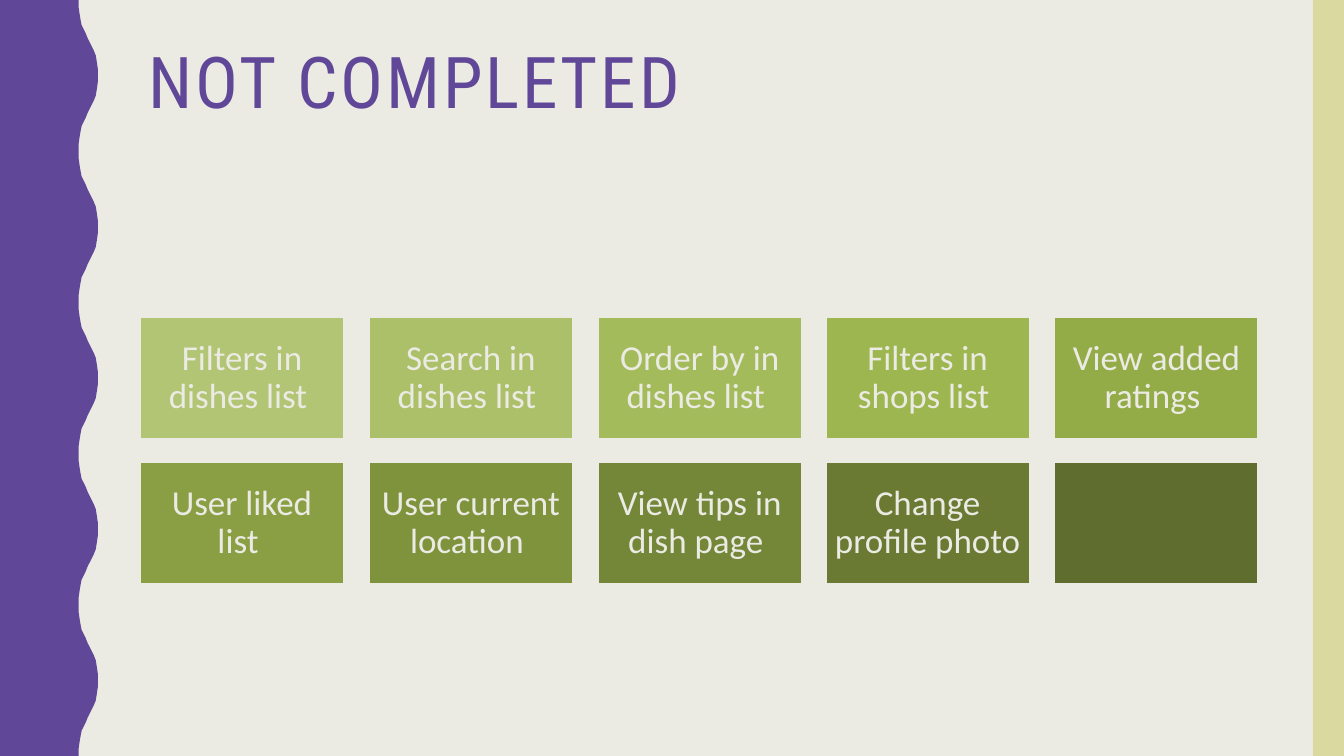
from dataclasses import dataclass

from pptx import Presentation
from pptx.dml.color import RGBColor
from pptx.enum.shapes import MSO_SHAPE
from pptx.enum.text import MSO_ANCHOR, PP_ALIGN
from pptx.util import Pt

RECT = MSO_SHAPE.RECTANGLE
TOP, MIDDLE = MSO_ANCHOR.TOP, MSO_ANCHOR.MIDDLE
LEFT, CENTER = PP_ALIGN.LEFT, PP_ALIGN.CENTER
PX = 9144  # EMU per px, 100 px to the inch
WIDE, HIGH = 1333, 750


@dataclass(frozen=True)
class Theme:
    paper: str = "EBEBE4"
    accent: str = "604798"
    edge: str = "DAD9A0"
    greens: tuple = ("B2C574", "ABC068", "A4BB5B", "9EB64F", "94AC48",
                     "8A9F43", "7F933D", "748738", "6A7A33", "5F6E2E")
    head_font: str = "Roboto Condensed"
    body_font: str = "Calibri"
    head_size: int = 51
    body_size: int = 25
    border: int = 4


class Deck:
    def __init__(self, theme):
        self.theme = theme
        self.file = Presentation()
        self.file.slide_width, self.file.slide_height = WIDE * PX, HIGH * PX
        self.slide = self.file.slides.add_slide(self.file.slide_layouts[6])
        self.paint(self.slide.background.fill, theme.paper)

    def paint(self, fill, color):
        fill.solid()
        fill.fore_color.rgb = RGBColor.from_string(color)

    def finish(self, shape, color):
        shape.shadow.inherit = False
        self.paint(shape.fill, color)
        shape.line.fill.background()

    def outline(self, points, color):
        pen = self.slide.shapes.build_freeform(*points[0], scale=float(PX))
        pen.add_line_segments(points[1:], close=True)
        self.finish(pen.convert_to_shape(), color)

    def rect(self, box, color):
        shape = self.slide.shapes.add_shape(RECT, *(n * PX for n in box))
        self.finish(shape, color)
        return shape

    def label(self, shape, text, font, size, color, align, anchor):
        frame = shape.text_frame
        frame.word_wrap = True
        frame.vertical_anchor = anchor
        par = frame.paragraphs[0]
        par.text = text
        par.alignment = align
        par.line_spacing = 0.9
        par.font.name, par.font.size = font, Pt(size)
        par.font.color.rgb = RGBColor.from_string(color)
        return par

    def title(self, box, text):
        t = self.theme
        shape = self.slide.shapes.add_textbox(*(n * PX for n in box))
        par = self.label(shape, text, t.head_font, t.head_size, t.accent,
                         LEFT, TOP)
        for run in par.runs:
            run._r.get_or_add_rPr().set("spc", "200")

    def tile(self, box, text, color):
        t = self.theme
        shape = self.rect(box, color)
        self.paint(shape.line.fill, t.paper)
        shape.line.width = Pt(t.border)
        if text:
            frame = shape.text_frame
            frame.margin_left = frame.margin_right = 10 * PX
            frame.margin_top = frame.margin_bottom = 10 * PX
            self.label(shape, text, t.body_font, t.body_size, t.paper,
                       CENTER, MIDDLE)


# Half of one wave, from trough to crest
HALF = [(78, 0), (78, 7), (79, 14), (80, 20), (81, 25), (83, 29), (85, 33),
        (87, 38), (89, 42), (91, 46), (93, 50), (95, 55), (96, 61), (97, 68),
        (97, 75)]
WAVE, COUNT = 150, 5

TASKS = ["Filters in dishes list ", "Search in dishes list ",
         "Order by in dishes list ", "Filters in shops list ",
         "View added ratings ", "User liked list ", "User current location ",
         "View tips in dish page ", "Change profile photo", ""]
COLS = 5


def main():
    theme = Theme()
    deck = Deck(theme)

    # Wavy left band and right edge
    cycle = HALF + [(x, WAVE - y) for x, y in HALF[-2::-1]]
    wave = [(x, y + i * WAVE) for i in range(COUNT) for x, y in cycle]
    deck.outline([(0, 0), *wave, (0, HIGH)], theme.accent)
    deck.rect((1302, 0, 31, HIGH), theme.edge)

    # Heading
    deck.title((137, 42, 1113, 163), "NOT COMPLETED")

    # Grid of tasks
    for i, (task, green) in enumerate(zip(TASKS, theme.greens)):
        row, col = divmod(i, COLS)
        left = 137 + round(col * 226.75)
        deck.tile((left, 313 + row * 144, 206, 124), task, green)

    deck.file.save("out.pptx")


if __name__ == "__main__":
    main()
